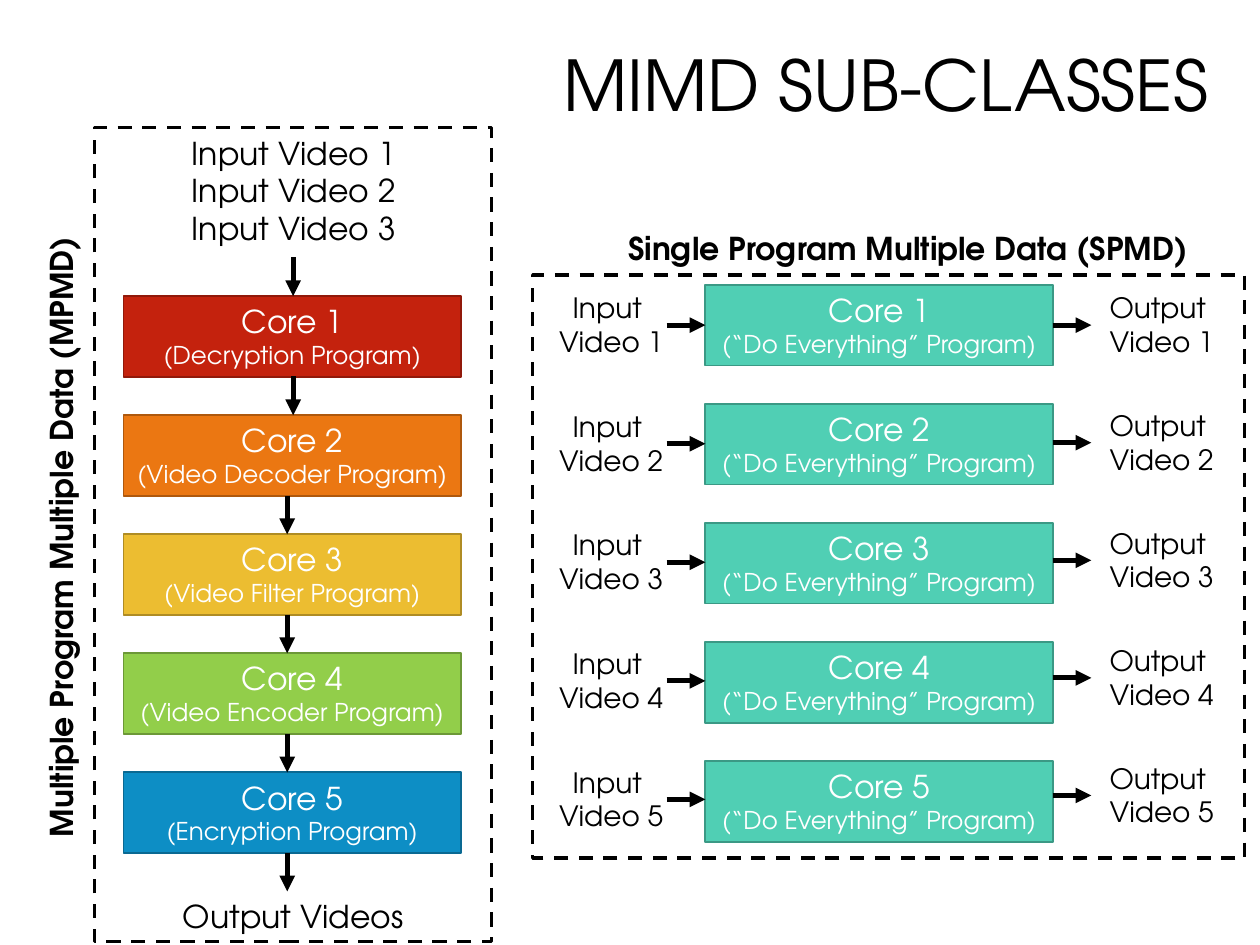
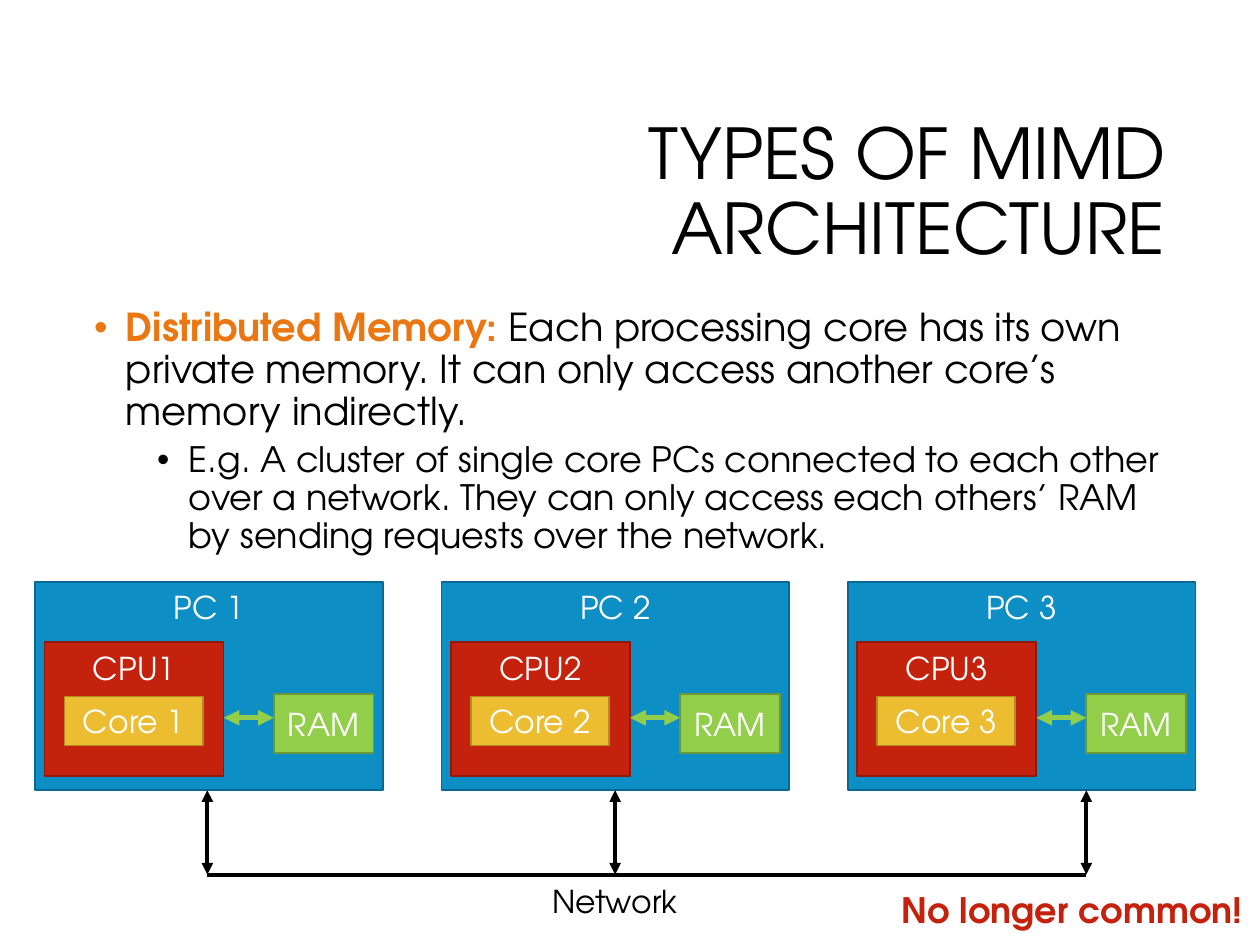
from collections import namedtuple

from lxml.etree import SubElement
from pptx import Presentation
from pptx.dml.color import RGBColor
from pptx.enum.dml import MSO_LINE
from pptx.enum.shapes import MSO_CONNECTOR, MSO_SHAPE
from pptx.enum.text import MSO_ANCHOR, MSO_AUTO_SIZE, PP_ALIGN
from pptx.oxml.ns import qn
from pptx.util import Cm, Pt

# Shared look
FONT = "TeX Gyre Adventor"
BLACK, WHITE = "000000", "FFFFFF"
RED, ORANGE, YELLOW = "C4220D", "EB7712", "ECBD31"
GREEN, BLUE, TEAL = "92CE4A", "0D8EC5", "50CFB4"

# Lengths in centimetres
Box = namedtuple("Box", "left top width height")
CORE_HEIGHT, CORE_PITCH = 1.63, 2.4
ARROW_LENGTH = 0.78

PROGRAMS = [
    ("Decryption Program", RED),
    ("Video Decoder Program", ORANGE),
    ("Video Filter Program", YELLOW),
    ("Video Encoder Program", GREEN),
    ("Encryption Program", BLUE),
]


def color(value):
    return RGBColor.from_string(value)


def darker(value):
    """Outline colour that belongs to a fill colour."""
    parts = [int(value[i:i + 2], 16) for i in (0, 2, 4)]
    return "".join(f"{round(part * 0.74):02X}" for part in parts)


def inside(box, left, top, width, height):
    return Box(box.left + left, box.top + top, width, height)


def in_cm(box):
    return [Cm(length) for length in box]


def style_span(span, size, ink, bold=False):
    span.font.name = FONT
    span.font.size = Pt(size)
    span.font.bold = bold
    span.font.color.rgb = color(ink)


def write(frame, text, sizes, ink, bold=False, align=PP_ALIGN.CENTER,
          anchor=MSO_ANCHOR.TOP):
    """Fill a text frame; the last size holds for all further lines."""
    frame.text = text
    frame.word_wrap = True
    frame.auto_size = MSO_AUTO_SIZE.NONE
    frame.vertical_anchor = anchor
    for index, para in enumerate(frame.paragraphs):
        para.alignment = align
        for span in para.runs:
            style_span(span, sizes[min(index, len(sizes) - 1)], ink, bold)


def add_title(slide, box, text):
    title = slide.shapes.title
    title.left, title.top, title.width, title.height = in_cm(box)
    write(title.text_frame, text, [40], BLACK, align=PP_ALIGN.RIGHT,
          anchor=MSO_ANCHOR.MIDDLE)
    title.text_frame.paragraphs[0].line_spacing = 0.9


def add_label(shapes, box, text, size=18, ink=BLACK, **style):
    label = shapes.add_textbox(*in_cm(box))
    write(label.text_frame, text, [size], ink, **style)
    return label


def add_block(shapes, box, text, fill, sizes=(18,), anchor=MSO_ANCHOR.TOP):
    block = shapes.add_shape(MSO_SHAPE.RECTANGLE, *in_cm(box))
    block.shadow.inherit = False
    block.fill.solid()
    block.fill.fore_color.rgb = color(fill)
    block.line.color.rgb = color(darker(fill))
    block.line.width = Pt(1)
    write(block.text_frame, text, sizes, WHITE, anchor=anchor)


def add_dashed_frame(shapes, box):
    frame = shapes.add_shape(MSO_SHAPE.RECTANGLE, *in_cm(box))
    frame.shadow.inherit = False
    frame.fill.background()
    frame.line.color.rgb = color(BLACK)
    frame.line.width = Pt(2)
    frame.line.dash_style = MSO_LINE.DASH


def add_line(shapes, start, end, ink=BLACK, width=3, ends=("tailEnd",)):
    points = [Cm(length) for length in (*start, *end)]
    line = shapes.add_connector(MSO_CONNECTOR.STRAIGHT, *points)
    line.line.color.rgb = color(ink)
    line.line.width = Pt(width)
    outline = line.line._get_or_add_ln()
    for end_name in ends:
        SubElement(outline, qn(f"a:{end_name}"), type="triangle")
    SubElement(line._element.spPr, qn("a:effectLst"))


def add_double_arrow(shapes, start, end, ink=BLACK, width=3):
    add_line(shapes, start, end, ink, width, ("headEnd", "tailEnd"))


def add_mpmd(shapes, box):
    """Chain of cores, each with its own program."""
    first_top = 3.4
    for index, (program, fill) in enumerate(PROGRAMS):
        core = inside(box, 0.58, first_top + index * CORE_PITCH, 6.81, CORE_HEIGHT)
        add_block(shapes, core, f"Core {index + 1}\n({program})", fill, (18, 14))

    # One arrow into each core and one out of the last
    for index in range(len(PROGRAMS) + 1):
        x = box.left + (4 if index < 2 else 3.88)
        tip = box.top + first_top + index * CORE_PITCH
        add_line(shapes, (x, tip - ARROW_LENGTH), (x, tip))

    videos = "\n".join(f"Input Video {number}" for number in range(1, 4))
    add_label(shapes, inside(box, 0.91, 0, 6.2, 2.57), videos)
    add_label(shapes, inside(box, 0.9, 15.39, 6.2, 1.02), "Output Videos")
    add_dashed_frame(shapes, box)

    # Caption turned to run up the left side
    length, thickness = box.height, 1.02
    caption = inside(box, -0.67 - length / 2, (box.height - thickness) / 2 + 0.05,
                     length, thickness)
    label = add_label(shapes, caption, "Multiple Program Multiple Data (MPMD)",
                      bold=True)
    label.rotation = 270


def add_spmd_row(shapes, box, index):
    """Input, core and output of one video."""
    number = index + 1
    core = inside(box, 3.48, 0.2 + index * CORE_PITCH, 7.01, CORE_HEIGHT)
    add_block(shapes, core, f"Core {number}\n(“Do Everything” Program)", TEAL, (18, 14))
    sides = [("Input", 0.16, 3.48 - ARROW_LENGTH, 2.39),
             ("Output", 11.26, 10.48, 2.37)]
    for word, text_left, arrow_left, pitch in sides:
        side = inside(box, text_left, 0.2 + index * pitch, 2.84, CORE_HEIGHT)
        add_label(shapes, side, f"{word} \nVideo {number}", 16)
        x, y = box.left + arrow_left, side.top + CORE_HEIGHT / 2
        add_line(shapes, (x, y), (x + ARROW_LENGTH, y))


def add_spmd(shapes, box):
    """Equal cores, each working on its own video."""
    for index in range(5):
        add_spmd_row(shapes.add_group_shape().shapes, box, index)
    add_dashed_frame(shapes, box)
    add_label(shapes, inside(box, -0.64, -1.04, 16.41, 1.02),
              "Single Program Multiple Data (SPMD)", bold=True)


def add_bullet(para, indent, space_before, spans):
    para.line_spacing = 0.9
    para.space_before = Pt(space_before)
    for text, size, ink, bold in spans:
        span = para.add_run()
        span.text = text
        style_span(span, size, ink, bold)
    properties = para._p.get_or_add_pPr()
    properties.set("marL", str(Cm(indent)))
    properties.set("indent", str(-Cm(0.64)))
    SubElement(properties, qn("a:buFont"), typeface="Arial")
    SubElement(properties, qn("a:buChar"), char="•")


def add_explanation(shapes, box):
    frame = shapes.add_textbox(*in_cm(box)).text_frame
    frame.word_wrap = True
    add_bullet(frame.paragraphs[0], 0.64, 10, [
        ("Distributed Memory: ", 22, ORANGE, True),
        ("Each processing core has its own private memory. It can only access "
         "another core’s memory indirectly.", 22, BLACK, False),
    ])
    example = frame.add_paragraph()
    example.level = 1
    add_bullet(example, 1.91, 5, [
        ("E.g. A cluster of single core PCs connected to each other over a "
         "network. They can only access each others’ RAM by sending requests "
         "over the network.", 20, BLACK, False),
    ])


def add_computer(shapes, box, number):
    """One PC with its processor, core and memory."""
    add_block(shapes, box, f"PC {number}", BLUE)
    add_block(shapes, inside(box, 0.19, 1.22, 3.61, 2.69), f"CPU{number}", RED)
    add_block(shapes, inside(box, 0.59, 2.31, 2.79, 0.99), f"Core {number}",
              YELLOW, anchor=MSO_ANCHOR.MIDDLE)
    add_block(shapes, inside(box, 4.81, 2.26, 2.01, 1.19), "RAM", GREEN,
              anchor=MSO_ANCHOR.MIDDLE)
    y = box.top + 2.74
    add_double_arrow(shapes, (box.left + 3.8, y), (box.left + 4.81, y), GREEN)


def add_network(shapes, box):
    """Bus along the bottom of the box, with one drop for each PC."""
    bottom = box.top + box.height
    right = box.left + box.width
    add_line(shapes, (box.left, bottom), (right, bottom), width=2.25, ends=())
    for x in (right, box.left + 8.22, box.left):
        add_double_arrow(shapes, (x, box.top), (x, bottom), width=2.25)
    add_label(shapes, inside(box, 3.82, box.height + 0.02, 8.79, 1.02), "Network")


def build_subclasses(slide):
    add_title(slide, Box(6.91, 0, 17.7, 3.58), "MIMD SUB-CLASSES")
    add_mpmd(slide.shapes, Box(1.91, 2.57, 8, 16.41))
    add_spmd(slide.shapes, Box(10.74, 5.54, 14.35, 11.76))


def build_architecture(slide):
    add_title(slide, Box(6.05, 2.13, 17.7, 3.58), "TYPES OF MIMD ARCHITECTURE")
    add_explanation(slide.shapes, Box(1.65, 6.1, 22.1, 5.26))
    for index in range(3):
        computer = Box(0.71 + index * 8.19, 11.73, 7.01, 4.19)
        add_computer(slide.shapes.add_group_shape().shapes, computer, index + 1)
    add_network(slide.shapes, Box(4.18, 15.93, 17.72, 1.7))
    add_label(slide.shapes, Box(17.5, 17.78, 7.8, 1.12), "No longer common!",
              20, RED, bold=True, align=PP_ALIGN.RIGHT)


def main():
    deck = Presentation()
    deck.slide_width, deck.slide_height = Cm(25.4), Cm(19.05)
    title_only = deck.slide_layouts.get_by_name("Title Only")
    for build in (build_subclasses, build_architecture):
        build(deck.slides.add_slide(title_only))
    deck.save("out.pptx")


if __name__ == "__main__":
    main()
